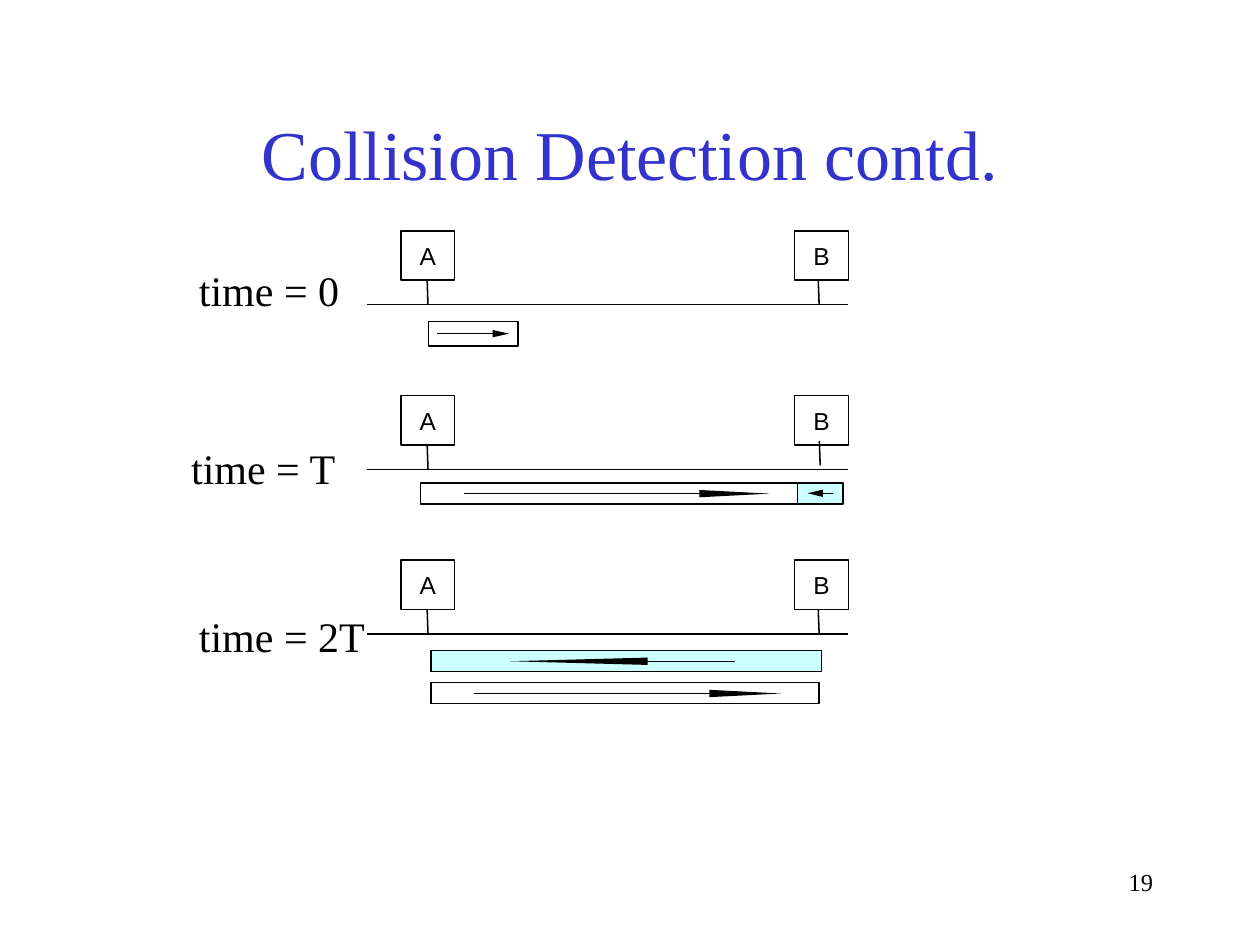
from dataclasses import dataclass
from typing import Any, Optional

from lxml import etree
from pptx import Presentation
from pptx import util as u
from pptx.dml.color import RGBColor
from pptx.enum import shapes, text
from pptx.oxml import ns


@dataclass(frozen=True)
class Theme:
    title_color: RGBColor = RGBColor(0x33, 0x33, 0xCC)
    ink: RGBColor = RGBColor(0, 0, 0)
    reply: RGBColor = RGBColor(0xCC, 0xFF, 0xFF)
    serif: str = "Times New Roman"
    sans: str = "Arial"
    title_size: float = 40
    time_size: float = 24
    small_size: float = 14
    stroke: float = 0.88


@dataclass(frozen=True)
class Label:
    words: str
    left: float
    top: float
    width: float
    height: float
    size: float
    color: RGBColor
    align: Any = text.PP_ALIGN.LEFT
    anchor: Any = text.MSO_ANCHOR.TOP
    wrap: bool = False
    fit: Any = text.MSO_AUTO_SIZE.SHAPE_TO_FIT_TEXT


@dataclass(frozen=True)
class Bus:
    top: float
    b_stub_x: float = 467.6
    b_stub_shift: float = 0


@dataclass(frozen=True)
class Packet:
    left: float
    top: float
    width: float
    height: float
    arrow_y: float
    tail: float
    shaft_end: float
    head_base: float
    tip: float
    fill: Optional[RGBColor] = None


T = Theme()
FIRST_TOP, PITCH = 131.9, 94.1
STATION_W, STATION_H = 30.8, 28.3
STATIONS = {"A": 229, "B": 454.1}
STUB_LENGTH, BUS_DROP = 14, 42.2
BUS_LEFT, BUS_RIGHT = 209.5, 484.8
HEAD_HALF = 2.1

BUSES = [
    Bus(FIRST_TOP),
    Bus(FIRST_TOP + PITCH, 468.2, -2.4),
    Bus(FIRST_TOP + 2 * PITCH),
]

PACKETS = [
    Packet(244.8, 183.8, 51.1, 13.9, 190.7, 249.8, 283, 281.5, 290.9),
    Packet(240.2, 276, 221.5, 12, 282.1, 265, 414.7, 399.6, 439.9),
    Packet(455.8, 276, 25.9, 12, 281.9, 475.9, 468.7, 470.2, 461.5, T.reply),
    Packet(246.2, 371.8, 223.2, 12, 377.9, 419.8, 355.7, 370.1, 291.6, T.reply),
    Packet(246.2, 390.1, 221.8, 12, 396.3, 270.7, 421.2, 405.4, 446.4),
]

LABELS = [
    Label("Collision Detection contd.", 54, 48.2, 612, 77.8, T.title_size, T.title_color,
          text.PP_ALIGN.CENTER, text.MSO_ANCHOR.MIDDLE, True, text.MSO_AUTO_SIZE.NONE),
    Label("time = 0", 106.6, 147.6, 95.5, 36, T.time_size, T.ink),
    Label("time = T", 102.2, 249.1, 97.5, 36, T.time_size, T.ink),
    Label("time = 2T", 106.6, 345.6, 110, 36, T.time_size, T.ink),
    Label("19", 516.2, 491.8, 149.8, 36, T.small_size, T.ink,
          text.PP_ALIGN.RIGHT, wrap=True, fit=text.MSO_AUTO_SIZE.NONE),
]


def apply(obj: Any, formats: dict) -> None:
    for name, value in formats.items():
        setattr(obj, name, value)


def write(sp: Any, words: str, font: str, size: float, color: RGBColor,
          align: Any, frame: dict) -> None:
    tf = sp.text_frame
    apply(tf, frame)
    p = tf.paragraphs[0]
    p.alignment = align
    r = p.add_run()
    r.text = words
    apply(r.font, {"name": font, "size": u.Pt(size)})
    r.font.color.rgb = color


def add_label(s: Any, label: Label) -> None:
    sp = s.shapes.add_textbox(u.Pt(label.left), u.Pt(label.top),
                              u.Pt(label.width), u.Pt(label.height))
    frame = {"word_wrap": label.wrap, "vertical_anchor": label.anchor,
             "auto_size": label.fit}
    write(sp, label.words, T.serif, label.size, label.color, label.align, frame)


def add_box(s: Any, left: float, top: float, width: float, height: float,
            fill: Optional[RGBColor] = None) -> Any:
    sp = s.shapes.add_shape(shapes.MSO_SHAPE.RECTANGLE, u.Pt(left), u.Pt(top),
                            u.Pt(width), u.Pt(height))
    sp.shadow.inherit = False
    if fill is None:
        sp.fill.background()
    else:
        sp.fill.solid()
        sp.fill.fore_color.rgb = fill
    sp.line.color.rgb = T.ink
    sp.line.width = u.Pt(T.stroke)
    return sp


def add_line(s: Any, x1: float, y1: float, x2: float, y2: float) -> None:
    line = s.shapes.add_connector(shapes.MSO_CONNECTOR.STRAIGHT, u.Pt(x1), u.Pt(y1),
                                  u.Pt(x2), u.Pt(y2))
    line.line.color.rgb = T.ink
    line.line.width = u.Pt(T.stroke)
    etree.SubElement(line._element.spPr, ns.qn("a:effectLst"))


def add_head(s: Any, base: float, tip: float, y: float) -> None:
    upper, lower = u.Pt(y - HEAD_HALF), u.Pt(y + HEAD_HALF)
    builder = s.shapes.build_freeform(u.Pt(base), upper)
    builder.add_line_segments([(u.Pt(tip), u.Pt(y)), (u.Pt(base), lower)], close=True)
    sp = builder.convert_to_shape()
    sp.shadow.inherit = False
    sp.fill.solid()
    sp.fill.fore_color.rgb = T.ink
    sp.line.fill.background()


def add_bus(s: Any, bus: Bus) -> None:
    frame = {"margin_left": 0, "margin_right": 0, "margin_top": 0, "margin_bottom": 0,
             "word_wrap": False, "vertical_anchor": text.MSO_ANCHOR.MIDDLE}
    for name, left in STATIONS.items():
        sp = add_box(s, left, bus.top, STATION_W, STATION_H)
        write(sp, name, T.sans, T.small_size, T.ink, text.PP_ALIGN.CENTER, frame)
    stub_top = bus.top + STATION_H
    for x, shift in ((244.1, 0), (bus.b_stub_x, bus.b_stub_shift)):
        add_line(s, x, stub_top + shift, x + 0.5, stub_top + shift + STUB_LENGTH)
    add_line(s, BUS_LEFT, bus.top + BUS_DROP, BUS_RIGHT, bus.top + BUS_DROP)


def add_packet(s: Any, packet: Packet) -> None:
    add_box(s, packet.left, packet.top, packet.width, packet.height, packet.fill)
    add_line(s, packet.tail, packet.arrow_y, packet.shaft_end, packet.arrow_y)
    add_head(s, packet.head_base, packet.tip, packet.arrow_y)


def main() -> None:
    prs = Presentation()
    apply(prs, {"slide_width": u.Pt(720), "slide_height": u.Pt(540)})
    s = prs.slides.add_slide(prs.slide_layouts[6])
    for bus in BUSES:
        add_bus(s, bus)
    for packet in PACKETS:
        add_packet(s, packet)
    for label in LABELS:
        add_label(s, label)
    prs.save("out.pptx")


if __name__ == "__main__":
    main()
